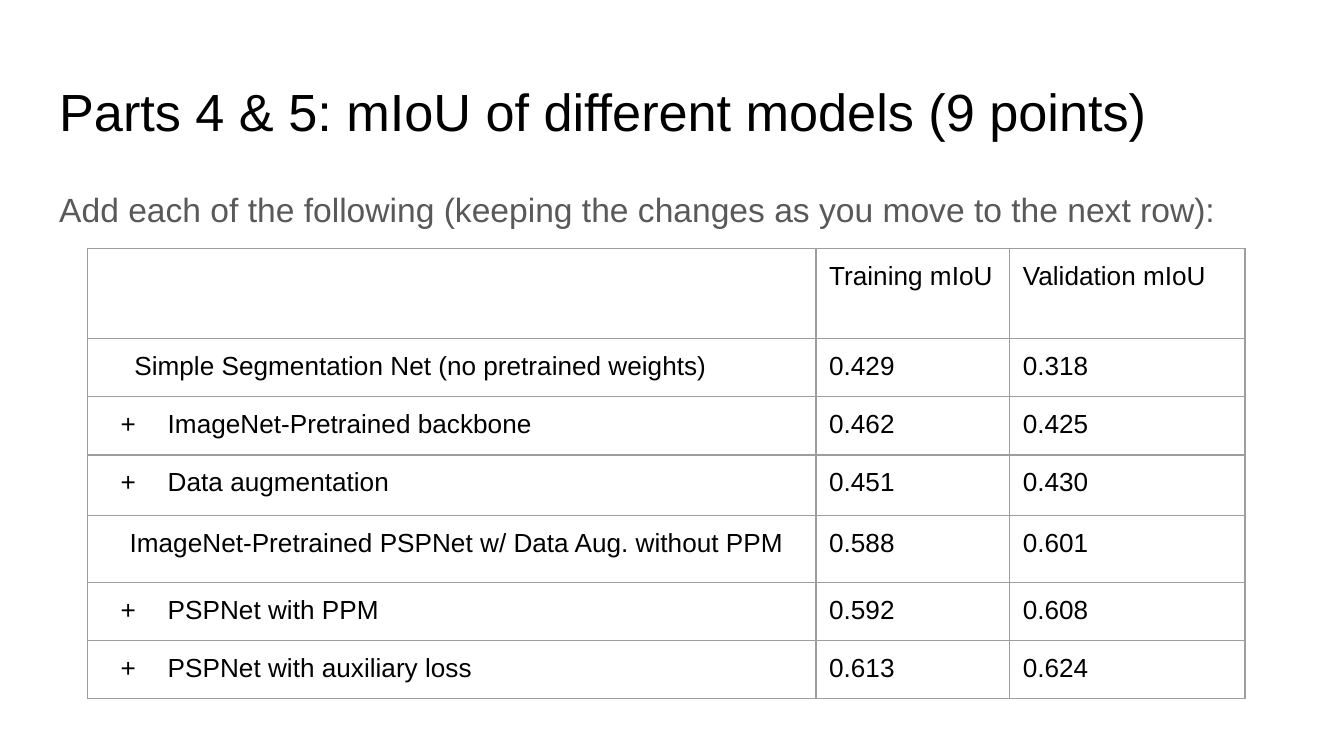
from lxml.etree import SubElement
from pptx import Presentation
from pptx.dml.color import RGBColor
from pptx.oxml.ns import qn
from pptx.util import Cm, Pt

BLACK = RGBColor(0x00, 0x00, 0x00)
GRAY = RGBColor(0x59, 0x59, 0x59)
BORDER = RGBColor(0x9E, 0x9E, 0x9E)
FONT = "Arial"
INSET = Cm(0.25)

COLUMN_WIDTHS = [13.77, 3.66, 4.45]
ROW_HEIGHTS = [1.7, 1.1, 1.1, 1.15, 1.26, 1.1, 1.1]
HEADER = ("", "Training mIoU", "Validation mIoU")
# Model, training mIoU, validation mIoU, indent in cm (None for an added "+" step)
RESULTS = [
    ("Simple Segmentation Net (no pretrained weights)", "0.429", "0.318", 0.64),
    ("ImageNet-Pretrained backbone", "0.462", "0.425", None),
    ("Data augmentation", "0.451", "0.430", None),
    ("ImageNet-Pretrained PSPNet w/ Data Aug. without PPM", "0.588", "0.601", 0.55),
    ("PSPNet with PPM", "0.592", "0.608", None),
    ("PSPNet with auxiliary loss", "0.613", "0.624", None),
]


def add_run(paragraph, text, size, color):
    run = paragraph.add_run()
    run.text = text
    run.font.name = FONT
    run.font.size = Pt(size)
    run.font.color.rgb = color


def set_insets(holder):
    holder.margin_left = holder.margin_right = INSET
    holder.margin_top = holder.margin_bottom = INSET


def add_line_of_text(slide, box, text, size, color, line_spacing=1.0):
    frame = slide.shapes.add_textbox(*box).text_frame
    frame.word_wrap = True
    set_insets(frame)
    paragraph = frame.paragraphs[0]
    paragraph.line_spacing = line_spacing
    add_run(paragraph, text, size, color)


def add_plus_bullet(paragraph):
    properties = paragraph._p.get_or_add_pPr()
    properties.set("marL", str(Cm(1.27)))
    properties.set("indent", str(Cm(-0.89)))
    bullet_color = SubElement(properties, qn("a:buClr"))
    SubElement(bullet_color, qn("a:srgbClr"), val=str(BLACK))
    SubElement(properties, qn("a:buSzPts"), val="1400")
    SubElement(properties, qn("a:buFont"), typeface=FONT)
    SubElement(properties, qn("a:buChar"), char="+")


def style_cell(cell):
    set_insets(cell)
    properties = cell._tc.get_or_add_tcPr()
    for side in ("L", "R", "T", "B"):
        line = SubElement(properties, qn(f"a:ln{side}"), w=str(Pt(0.75)))
        fill = SubElement(line, qn("a:solidFill"))
        SubElement(fill, qn("a:srgbClr"), val=str(BORDER))
    cell.fill.background()


def add_results_table(slide, left, top):
    rows = [HEADER] + [result[:3] for result in RESULTS]
    table = slide.shapes.add_table(
        len(rows), len(HEADER), left, top,
        Cm(sum(COLUMN_WIDTHS)), Cm(sum(ROW_HEIGHTS))).table
    table.first_row = table.horz_banding = False
    for column, width in zip(table.columns, COLUMN_WIDTHS):
        column.width = Cm(width)
    for row, height, texts in zip(table.rows, ROW_HEIGHTS, rows):
        row.height = Cm(height)
        for cell, text in zip(row.cells, texts):
            style_cell(cell)
            if text:
                add_run(cell.text_frame.paragraphs[0], text, 14, BLACK)
    for index, (*_, indent) in enumerate(RESULTS, start=1):
        model = table.cell(index, 0).text_frame.paragraphs[0]
        if indent is None:
            add_plus_bullet(model)
        else:
            model._p.get_or_add_pPr().set("marL", str(Cm(indent)))


def add_results_slide(deck):
    slide = deck.slides.add_slide(deck.slide_layouts[6])
    left, width = Cm(0.87), Cm(23.67)
    add_line_of_text(slide, (left, Cm(1.24), width, Cm(1.59)),
                     "Parts 4 & 5: mIoU of different models (9 points)", 28, BLACK)
    add_line_of_text(slide, (left, Cm(3.2), width, Cm(9.49)),
                     "Add each of the following (keeping the changes as you "
                     "move to the next row):", 18, GRAY, 1.15)
    add_results_table(slide, Cm(1.65), Cm(4.7))


def main():
    deck = Presentation()
    deck.slide_width, deck.slide_height = Cm(25.4), Cm(14.29)
    add_results_slide(deck)
    deck.save("out.pptx")


if __name__ == "__main__":
    main()
